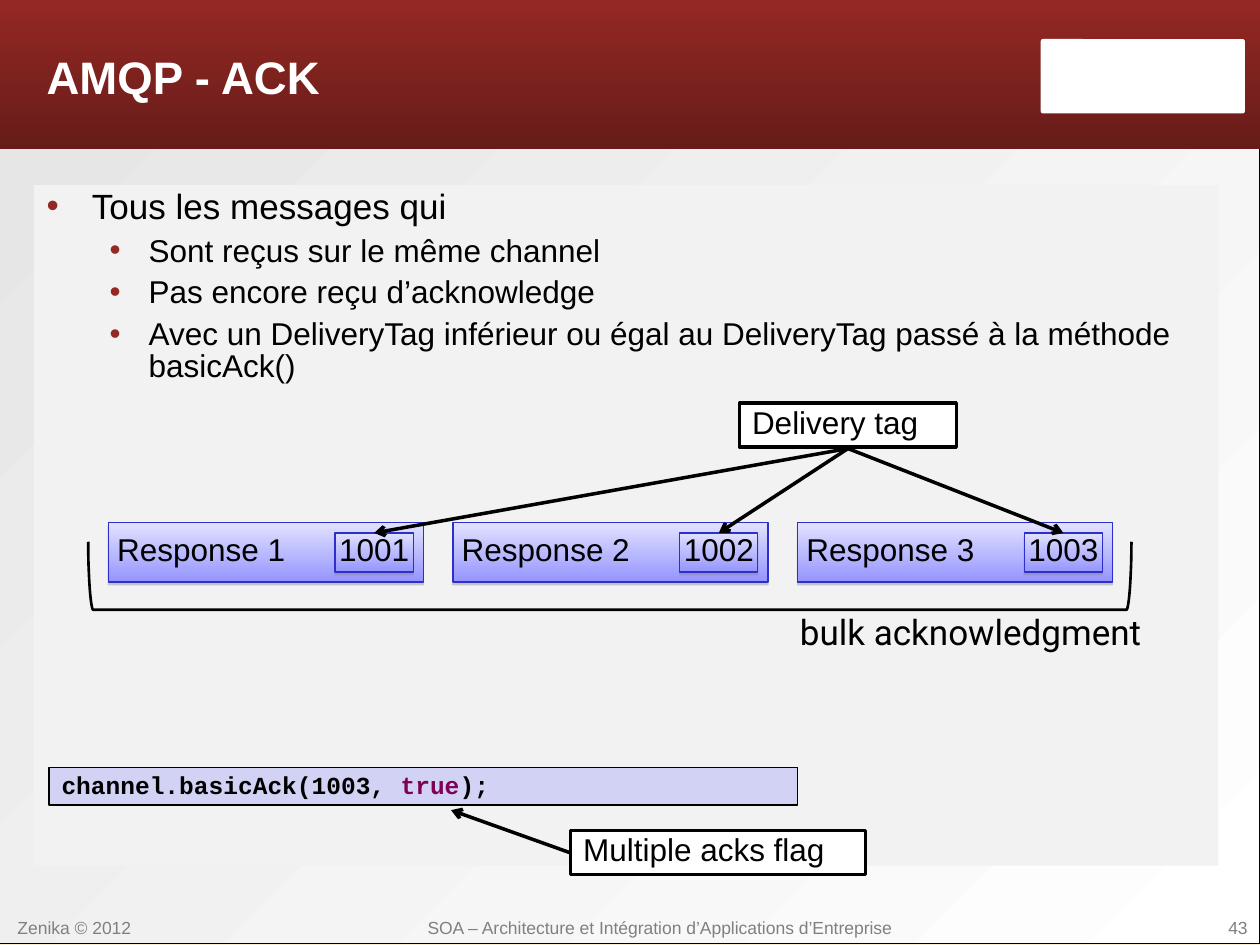
from lxml import etree
from pptx import Presentation
from pptx.dml.color import RGBColor
from pptx.enum.shapes import MSO_CONNECTOR, MSO_SHAPE
from pptx.enum.text import MSO_ANCHOR, MSO_AUTO_SIZE, PP_ALIGN
from pptx.oxml import parse_xml
from pptx.oxml.ns import nsdecls, qn
from pptx.util import Inches, Pt

LEFT, CENTER, RIGHT = PP_ALIGN.LEFT, PP_ALIGN.CENTER, PP_ALIGN.RIGHT
TOP, MIDDLE = MSO_ANCHOR.TOP, MSO_ANCHOR.MIDDLE
BLACK, WHITE, RED, GREY = "000000", "FFFFFF", "942824", "808080"
SHADOW = (f'<a:outerShdw {nsdecls("a")} dist="20320" dir="5400000" rotWithShape="0">'
          f'<a:srgbClr val="{GREY}"><a:alpha val="38000"/></a:srgbClr></a:outerShdw>')


def paint(fill, color, end=None, angle=270):
    """Fill with one colour, or with a linear gradient when an end colour is given."""
    if end is None:
        fill.solid()
        fill.fore_color.rgb = RGBColor.from_string(color)
        return
    fill.gradient()
    fill.gradient_angle = angle
    for stop, value in zip(fill.gradient_stops, (color, end)):
        stop.color.rgb = RGBColor.from_string(value)


def write(paragraph, text, size=18, color=BLACK, font="Arial", bold=False,
          align=LEFT, spacing=0.83, before=0):
    """Append a run to the paragraph and format both."""
    paragraph.alignment = align
    paragraph.line_spacing = spacing
    paragraph.space_before = Pt(before)
    run = paragraph.add_run()
    run.text = text
    run.font.size = Pt(size)
    run.font.name = font
    run.font.bold = bold
    paint(run.font.fill, color)


presentation = Presentation()
presentation.slide_width, presentation.slide_height = Inches(10), Inches(7.5)
slide = presentation.slides.add_slide(presentation.slide_layouts[1])
shapes = slide.shapes
paint(slide.background.fill, "FBEEC9")

# Title and list
title, body = shapes.title, slide.placeholders[1]
for placeholder, box, anchor in (
    (title, (0.27, 0.11, 7.87, 1.07), MIDDLE),
    (body, (0.27, 1.47, 9.4, 5.4), TOP),
):
    (placeholder.left, placeholder.top,
     placeholder.width, placeholder.height) = map(Inches, box)
    placeholder.text_frame.vertical_anchor = anchor
    placeholder.text_frame.auto_size = MSO_AUTO_SIZE.NONE
    placeholder.text_frame.word_wrap = True
write(title.text_frame.paragraphs[0], "AMQP - ACK", size=26, color=WHITE, bold=True)

paint(body.fill, "F2F2F2")
items = (
    (0, "Tous les messages qui"),
    (1, "Sont reçus sur le même channel"),
    (1, "Pas encore reçu d’acknowledge"),
    (1, "Avec un DeliveryTag inférieur ou égal au DeliveryTag passé à la méthode basicAck()"),
)
for index, (level, text) in enumerate(items):
    paragraph = body.text_frame.add_paragraph() if index else body.text_frame.paragraphs[0]
    paragraph.level = level
    properties = paragraph._p.get_or_add_pPr()
    margin, hanging = ((0.36, 0.36), (0.81, 0.31))[level]
    properties.set("marL", str(Inches(margin)))
    properties.set("indent", str(-Inches(hanging)))
    bullet_color = etree.SubElement(properties, qn("a:buClr"))
    etree.SubElement(bullet_color, qn("a:srgbClr")).set("val", RED)
    etree.SubElement(properties, qn("a:buChar")).set("char", "•")
    write(paragraph, text, size=20 - 2 * level, before=6 if index else 0)

# Page panel, header band and header plate, behind the placeholders
panels = (
    ((-0.04, 1.08, 10.04, 6.41), (WHITE, "E6E6E6", 135), 0),
    ((-0.04, 0, 10.04, 1.18), (RED, "671C19"), 0),
    ((8.26, 0.31, 1.62, 0.59), (WHITE,), 0.03),
)
for index, (box, colors, corner) in enumerate(panels):
    panel = shapes.add_shape(MSO_SHAPE.ROUNDED_RECTANGLE, *map(Inches, box))
    panel.adjustments[0] = corner
    panel.shadow.inherit = False
    paint(panel.fill, *colors)
    if index == 0:
        paint(panel.line.fill, BLACK)
        panel.line.width = Pt(0.75)
    else:
        panel.line.fill.background()
    shapes._spTree.insert(2 + index, panel._element)

# Footer and bracket caption
for box, text, style in (
    ((0.04, 7.23, 1.18, 0.17), "Zenika © 2012", {}),
    ((2.95, 7.23, 4.57, 0.15), "SOA – Architecture et Intégration d’Applications d’Entreprise",
     {"align": CENTER}),
    ((8.82, 7.23, 1.18, 0.17), "43", {"align": RIGHT}),
    ((6.25, 4.84, 3.05, 0.66), "bulk acknowledgment",
     {"size": 20, "color": BLACK, "font": "Roboto", "spacing": 0.83}),
):
    frame = shapes.add_textbox(*map(Inches, box)).text_frame
    frame.word_wrap = True
    frame.margin_top = Inches(0.06)
    write(frame.paragraphs[0], text, **{"size": 10, "color": GREY, "spacing": 0.93, **style})

# Responses, each with its delivery tag
FIRST_COLUMN, COLUMN_STEP, TAG_OFFSET, TAG_WIDTH, TAG_TOP = 0.86, 2.735, 1.8, 0.62, 4.23
columns = [FIRST_COLUMN + COLUMN_STEP * number for number in range(3)]
tag_centers = [left + TAG_OFFSET + TAG_WIDTH / 2 for left in columns]
for number, left in enumerate(columns, start=1):
    for box, text, align, inset in (
        ((left, 4.15, 2.5, 0.47), f"Response {number}", LEFT, 0.07),
        ((left + TAG_OFFSET, TAG_TOP, TAG_WIDTH, 0.31), str(1000 + number), CENTER, 0),
    ):
        block = shapes.add_shape(MSO_SHAPE.RECTANGLE, *map(Inches, box))
        block.shadow.inherit = False
        block._element.spPr.find(qn("a:effectLst")).append(parse_xml(SHADOW))
        paint(block.fill, "E1E1FF", "9595FF")
        paint(block.line.fill, "2E2ECB")
        block.line.width = Pt(0.75)
        frame = block.text_frame
        frame.margin_left = Inches(inset)
        frame.margin_right = frame.margin_top = frame.margin_bottom = 0
        frame.vertical_anchor = MIDDLE
        frame.word_wrap = True
        write(frame.paragraphs[0], text, align=align)

# Labels and code line
for box, color, width, runs, style in (
    ((5.87, 3.2, 1.72, 0.35), WHITE, 2, (("Delivery tag", BLACK),), {}),
    ((4.53, 6.59, 2.34, 0.35), WHITE, 2, (("Multiple acks flag", BLACK),), {}),
    ((0.39, 6.09, 5.94, 0.3), "D2D2F4", 0.75,
     (("channel.basicAck(1003, ", BLACK), ("true", "7F0055"), (");", BLACK)),
     {"size": 14, "font": "Courier New", "bold": True}),
):
    label = shapes.add_shape(MSO_SHAPE.RECTANGLE, *map(Inches, box))
    label.shadow.inherit = False
    paint(label.fill, color)
    paint(label.line.fill, BLACK)
    label.line.width = Pt(width)
    label.text_frame.vertical_anchor = TOP
    label.text_frame.word_wrap = True
    if style:
        label.text_frame.margin_top = Inches(0.06)
    for text, run_color in runs:
        write(label.text_frame.paragraphs[0], text, color=run_color, **style)

# Arrows
arrows = [((6.73, 3.56), (center, TAG_TOP)) for center in reversed(tag_centers)]
arrows.append(((4.53, 6.77), (3.58, 6.43)))
for start, end in arrows:
    arrow = shapes.add_connector(MSO_CONNECTOR.STRAIGHT, *map(Inches, start + end))
    paint(arrow.line.fill, BLACK)
    arrow.line.width = Pt(2)
    etree.SubElement(arrow.line._get_or_add_ln(), qn("a:tailEnd")).set("type", "arrow")
    etree.SubElement(arrow._element.spPr, qn("a:effectLst"))

# Bracket under the responses: a curved arm on each side, sampled from top to bottom
BRACKET_LEFT, BRACKET_RIGHT, BRACKET_TOP, BRACKET_DEPTH, STEPS = 0.7, 8.98, 4.3, 0.54, 12
arm = []
for step in range(STEPS + 1):
    t = step / STEPS
    inward = 0.06 * t ** 2 * (1 - t) + 0.04 * t ** 3
    down = BRACKET_DEPTH * (1.5 * t * (1 - t) ** 2 + 3 * t ** 2 * (1 - t) + t ** 3)
    arm.append((inward, BRACKET_TOP + down))
outline = [(BRACKET_RIGHT - inward, y) for inward, y in arm]
outline += [(BRACKET_LEFT + inward, y) for inward, y in reversed(arm)]
points = [(Inches(x), Inches(y)) for x, y in outline]
builder = shapes.build_freeform(*points[0])
builder.add_line_segments(points[1:], close=False)
bracket = builder.convert_to_shape()
bracket.shadow.inherit = False
bracket.fill.background()
paint(bracket.line.fill, BLACK)
bracket.line.width = Pt(1.5)

presentation.save("out.pptx")
